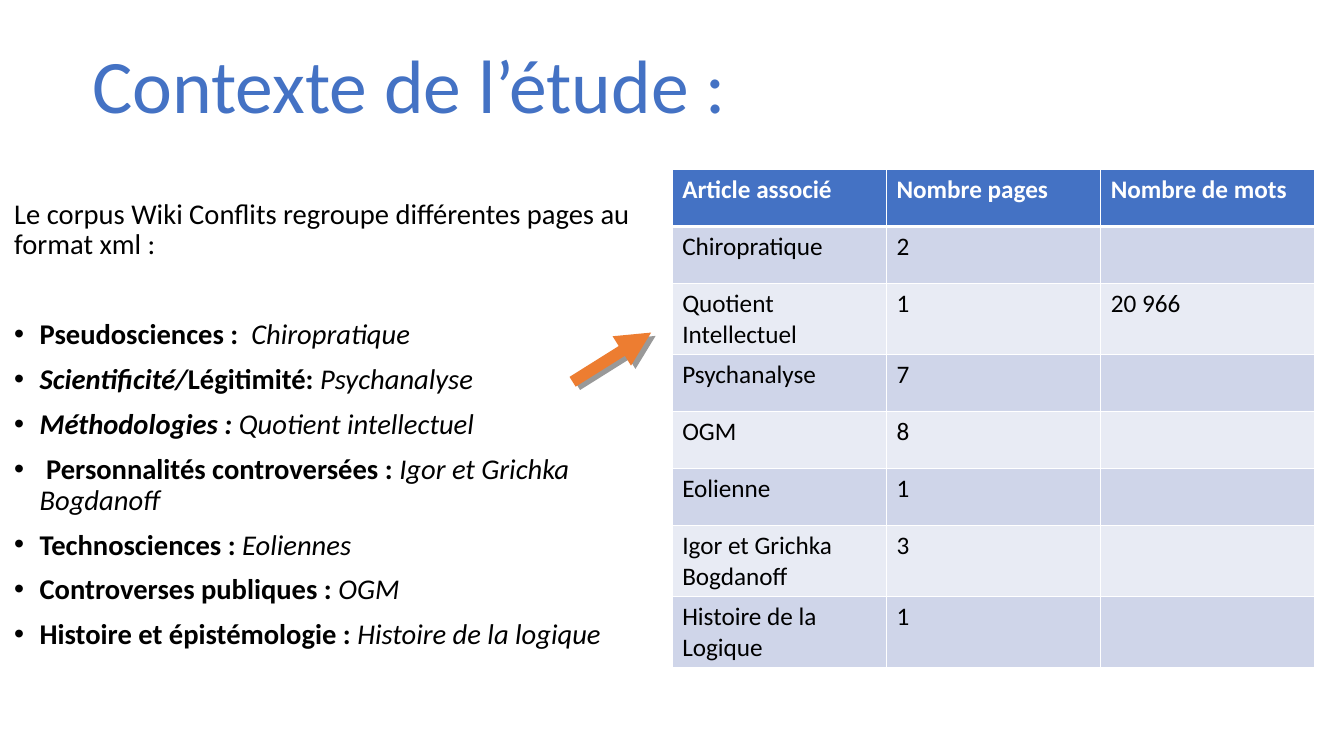
from lxml.etree import SubElement
from pptx import Presentation
from pptx.dml.color import RGBColor
from pptx.enum.shapes import MSO_CONNECTOR
from pptx.enum.text import MSO_ANCHOR, MSO_AUTO_SIZE, PP_ALIGN
from pptx.oxml.ns import qn
from pptx.util import Cm, Pt

COLORS = {
    "accent": "4472C4",
    "arrow": "ED7D31",
    "text": "000000",
    "white": "FFFFFF",
    "band_dark": "CFD5E9",
    "band_light": "E8EBF4",
}
FONT = "Calibri"
INTRODUCTION = "Le corpus Wiki Conflits regroupe différentes pages au format xml :"
BOLD = {"bold": True}
ITALIC = {"italic": True}
BOLD_ITALIC = {"bold": True, "italic": True}
THEMES = [
    [("Pseudosciences : ", BOLD), (" Chiropratique", ITALIC)],
    [("Scientificité/", BOLD_ITALIC), ("Légitimité: ", BOLD), ("Psychanalyse", ITALIC)],
    [("Méthodologies : ", BOLD_ITALIC), ("Quotient intellectuel", ITALIC)],
    [(" Personnalités controversées : ", BOLD), ("Igor et Grichka Bogdanoff", ITALIC)],
    [("Technosciences : ", BOLD), ("Eoliennes", ITALIC)],
    [("Controverses publiques : ", BOLD), ("OGM", ITALIC)],
    [("Histoire et épistémologie : ", BOLD), ("Histoire de la logique", ITALIC)],
]
ARTICLES = [
    ("Article associé", "Nombre pages", "Nombre de mots"),
    ("Chiropratique", "2", ""),
    ("Quotient Intellectuel", "1", "20 966"),
    ("Psychanalyse", "7", ""),
    ("OGM", "8", ""),
    ("Eolienne", "1", ""),
    ("Igor et Grichka Bogdanoff", "3", ""),
    ("Histoire de la Logique", "1", ""),
]
TALL_ROWS = (2, 6, 7)


def color(name):
    return RGBColor.from_string(COLORS[name])


def set_attributes(target, values):
    for name, value in values.items():
        setattr(target, name, value)


def add_run(paragraph, text, size, color_name, **values):
    run = paragraph.add_run()
    run.text = text
    run.font.color.rgb = color(color_name)
    set_attributes(run.font, {"name": FONT, "size": Pt(size), **values})


def add_element(parent, tag, **attributes):
    return SubElement(parent, qn(tag), **{key: str(value) for key, value in attributes.items()})


def add_bullet(paragraph):
    properties = paragraph._p.get_or_add_pPr()
    properties.set("marL", str(Cm(0.64)))
    properties.set("indent", str(-Cm(0.64)))
    add_element(properties, "a:buFont", typeface="Arial")
    add_element(properties, "a:buChar", char="•")


def add_title(slide, left, top, width, height):
    frame = slide.shapes.add_textbox(left, top, width, height).text_frame
    values = {
        "word_wrap": False,
        "auto_size": MSO_AUTO_SIZE.SHAPE_TO_FIT_TEXT,
        "margin_left": Cm(0.1),
        "margin_right": Cm(0.1),
    }
    set_attributes(frame, values)
    paragraph = frame.paragraphs[0]
    paragraph.alignment = PP_ALIGN.CENTER
    add_run(paragraph, "Contexte de l’étude :", 54, "accent")


def add_corpus(slide, left, top, width, height):
    frame = slide.shapes.add_textbox(left, top, width, height).text_frame
    set_attributes(frame, {"word_wrap": True, "vertical_anchor": MSO_ANCHOR.TOP})
    paragraph = frame.paragraphs[0]
    set_attributes(paragraph, {"line_spacing": 0.9, "space_before": Pt(10)})
    add_run(paragraph, INTRODUCTION, 20.4, "text")
    for index, theme in enumerate(THEMES):
        paragraph = frame.add_paragraph()
        space = Pt(10) if index else Pt(42)
        set_attributes(paragraph, {"line_spacing": 0.9, "space_before": space})
        add_bullet(paragraph)
        for text, values in theme:
            add_run(paragraph, text, 20.4, "text", **values)


def add_borders(cell, row):
    properties = cell._tc.get_or_add_tcPr()
    thick = {(0, "a:lnB"), (1, "a:lnT")}
    for side in ("a:lnL", "a:lnR", "a:lnT", "a:lnB"):
        width = Pt(3) if (row, side) in thick else Pt(0.96)
        fill = add_element(add_element(properties, side, w=width), "a:solidFill")
        add_element(fill, "a:srgbClr", val=COLORS["white"])


def add_articles(slide, left, top, width, height):
    shape = slide.shapes.add_table(len(ARTICLES), len(ARTICLES[0]), left, top, width, height)
    table = shape.table
    for column in table.columns:
        column.width = width // len(ARTICLES[0])
    for row, texts in enumerate(ARTICLES):
        table.rows[row].height = Cm(1.78) if row in TALL_ROWS else Cm(1.44)
        header = row == 0
        background = "accent" if header else "band_dark" if row % 2 else "band_light"
        for column, text in enumerate(texts):
            cell = table.cell(row, column)
            add_borders(cell, row)
            cell.fill.solid()
            cell.fill.fore_color.rgb = color(background)
            if text:
                paragraph = cell.text_frame.paragraphs[0]
                add_run(paragraph, text, 18, "white" if header else "text", bold=header)


def add_arrow(slide, left, top, width, height):
    arrow = slide.shapes.add_connector(
        MSO_CONNECTOR.STRAIGHT, left, top + height, left + width, top
    )
    arrow.line.color.rgb = color("arrow")
    arrow.line.width = Pt(8.25)
    add_element(arrow.line._get_or_add_ln(), "a:tailEnd", type="triangle")
    effects = add_element(arrow._element.spPr, "a:effectLst")
    shadow = add_element(effects, "a:outerShdw", blurRad=0, dist=Pt(4), dir=2220000)
    shade = add_element(shadow, "a:srgbClr", val=COLORS["text"])
    add_element(shade, "a:alpha", val=40000)


def main():
    presentation = Presentation()
    set_attributes(presentation, {"slide_width": Cm(33.87), "slide_height": Cm(19.05)})
    slide = presentation.slides.add_slide(presentation.slide_layouts[6])
    add_corpus(slide, Cm(0.11), Cm(4.9), Cm(17.22), Cm(11.28))
    add_title(slide, Cm(2.08), Cm(0.84), Cm(16.48), Cm(2.54))
    add_articles(slide, Cm(16.94), Cm(4.27), Cm(16.2), Cm(12.54))
    add_arrow(slide, Cm(14.43), Cm(8.38), Cm(1.98), Cm(1.24))
    presentation.save("out.pptx")


if __name__ == "__main__":
    main()
